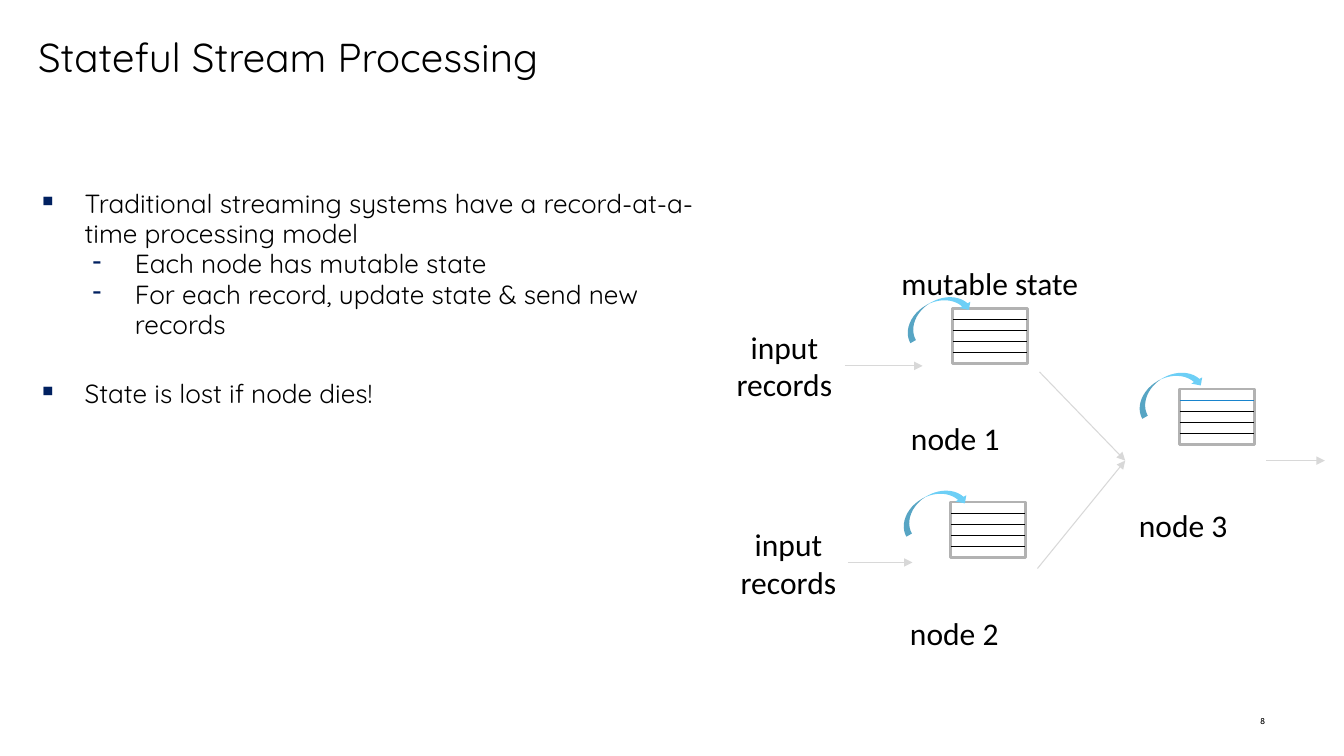
from pptx import Presentation
from pptx.dml.color import RGBColor
from pptx.enum.shapes import MSO_CONNECTOR, MSO_SHAPE
from pptx.enum.text import MSO_ANCHOR, PP_ALIGN
from pptx.oxml.ns import qn
from pptx.util import Pt
from lxml import etree

EMU_PER_PX = 9144  # 100 px to the inch

LINE = MSO_CONNECTOR.STRAIGHT
RECT = MSO_SHAPE.RECTANGLE
CURVED_ARROW = MSO_SHAPE.CURVED_DOWN_ARROW
TOP, MIDDLE, BOTTOM = MSO_ANCHOR.TOP, MSO_ANCHOR.MIDDLE, MSO_ANCHOR.BOTTOM
LEFT, CENTER, RIGHT = PP_ALIGN.LEFT, PP_ALIGN.CENTER, PP_ALIGN.RIGHT

BLACK = RGBColor(0x00, 0x00, 0x00)
WHITE = RGBColor(0xFF, 0xFF, 0xFF)
NAVY = RGBColor(0x00, 0x20, 0x60)
BLUE = RGBColor(0x18, 0x84, 0xCD)
SKY = RGBColor(0x6D, 0xCF, 0xF6)
GRAY = RGBColor(0xB2, 0xB2, 0xB2)
LIGHT_GRAY = RGBColor(0xD8, 0xD8, 0xD8)

TITLE_FONT = {"name": "Quicksand", "size": Pt(28.8)}
BODY_FONT = {"name": "Quicksand", "size": Pt(18.7)}
LABEL_FONT = {"name": "Calibri", "size": Pt(22.5)}
NUMBER_FONT = {"name": "Cabin", "size": Pt(6)}

# Margins: left, top, right, bottom
PAGE_MARGINS = (10, 10, 10, 10)
LABEL_MARGINS = (12, 6, 12, 6)
INPUT_MARGINS = (0, 6, 12, 6)
NODE_MARGINS = (0, 4, 0, 4)

# Bullet levels: character, left indent, hanging indent
POINT = ("▪", 50, 46)
SUBPOINT = ("-", 100, 42)
BODY = [
    (POINT, 0, "Traditional streaming systems have a record-at-a-time processing model"),
    (SUBPOINT, 0, "Each node has mutable state"),
    (SUBPOINT, 0, "For each record, update state & send new records"),
    (POINT, 28, "State is lost if node dies!"),
]

STATE_WIDTH, STATE_HEIGHT, ROW_HEIGHT, ROW_LINES = 74, 55, 11, 4

# State table corner, first row line colour, update arrow corner, label, label corner
NODES = [
    ((945, 306), BLACK, (892, 299), "node 1", (889, 412)),
    ((943, 498), BLACK, (888, 491), "node 2", (888, 605)),
    ((1170, 386), BLUE, (1122, 374), "node 3", (1115, 498)),
]
INPUTS = [(730, 319), (734, 515)]
FLOWS = [
    (838, 363, 915, 363),
    (841, 558, 905, 558),
    (1031, 369, 1116, 457),
    (1029, 564, 1116, 457),
    (1256, 457, 1314, 457),
]


def px(*lengths):
    return [length * EMU_PER_PX for length in lengths]


def apply_format(target, values):
    for attribute, value in values.items():
        setattr(target, attribute, value)


def add_text_box(slide, box, margins, anchor=TOP, wrap=True):
    frame = slide.shapes.add_textbox(*px(*box)).text_frame
    sides = ("margin_left", "margin_top", "margin_right", "margin_bottom")
    apply_format(frame, dict(zip(sides, px(*margins))))
    apply_format(frame, {"word_wrap": wrap, "vertical_anchor": anchor})
    return frame


def next_paragraph(frame, index):
    return frame.add_paragraph() if index else frame.paragraphs[0]


def add_label(slide, box, lines, font, margins, align=LEFT, **layout):
    frame = add_text_box(slide, box, margins, **layout)
    for index, line in enumerate(lines):
        paragraph = next_paragraph(frame, index)
        paragraph.text = line
        paragraph.alignment = align
        apply_format(paragraph.font, font)
        paragraph.font.color.rgb = BLACK


def set_bullet(paragraph, character, indent, hanging):
    properties = paragraph._p.get_or_add_pPr()
    properties.set("marL", str(indent * EMU_PER_PX))
    properties.set("indent", str(-hanging * EMU_PER_PX))
    color = etree.SubElement(properties, qn("a:buClr"))
    etree.SubElement(color, qn("a:srgbClr"), val=str(NAVY))
    etree.SubElement(properties, qn("a:buChar"), char=character)


def add_body(slide):
    frame = add_text_box(slide, (24, 178, 701, 370), PAGE_MARGINS)
    for index, (level, space, text) in enumerate(BODY):
        paragraph = next_paragraph(frame, index)
        paragraph.text = text
        set_bullet(paragraph, *level)
        apply_format(paragraph, {"line_spacing": 0.96, "space_before": Pt(space)})
        apply_format(paragraph.font, BODY_FONT)
        paragraph.font.color.rgb = BLACK


def add_line(slide, ends, color, arrow=False):
    line = slide.shapes.add_connector(LINE, *px(*ends))
    line.line.color.rgb = color
    line.line.width = Pt(0.75)
    if arrow:
        etree.SubElement(line.line._get_or_add_ln(), qn("a:tailEnd"), type="triangle")
    etree.SubElement(line._element.spPr, qn("a:effectLst"))


def add_filled_shape(slide, kind, box, fill):
    shape = slide.shapes.add_shape(kind, *px(*box))
    shape.shadow.inherit = False
    shape.fill.solid()
    shape.fill.fore_color.rgb = fill
    shape.line.fill.background()
    return shape


def add_state_table(slide, left, top, first_line_color):
    """Draw a node's mutable state as a frame ruled into rows."""
    frame = add_filled_shape(slide, RECT, (left, top, STATE_WIDTH, STATE_HEIGHT), WHITE)
    frame.line.color.rgb = GRAY
    frame.line.width = Pt(2)
    for row in range(1, ROW_LINES + 1):
        y = top + row * ROW_HEIGHT
        color = first_line_color if row == 1 else BLACK
        add_line(slide, (left, y, left + STATE_WIDTH, y), color)


def add_node(slide, state, first_line_color, update, name, name_corner):
    add_state_table(slide, *state, first_line_color)
    add_label(slide, (*name_corner, 117, 45), [name], LABEL_FONT, NODE_MARGINS, CENTER)
    update_arrow = add_filled_shape(slide, CURVED_ARROW, (*update, 73, 25), SKY)
    update_arrow.rotation = 330.3


def main():
    presentation = Presentation()
    presentation.slide_width, presentation.slide_height = px(1333, 750)
    slide = presentation.slides.add_slide(presentation.slide_layouts[6])

    add_label(slide, (28, 23, 1200, 67), ["Stateful Stream Processing"],
              TITLE_FONT, PAGE_MARGINS, anchor=BOTTOM)
    add_body(slide)
    add_label(slide, (882, 256, 201, 50), ["mutable state"],
              LABEL_FONT, LABEL_MARGINS, wrap=False)
    for corner in INPUTS:
        add_label(slide, (*corner, 108, 88), ["input", "records"],
                  LABEL_FONT, INPUT_MARGINS, CENTER, wrap=False)
    for node in NODES:
        add_node(slide, *node)
    for ends in FLOWS:
        add_line(slide, ends, LIGHT_GRAY, arrow=True)
    add_label(slide, (956, 695, 311, 40), ["8"],
              NUMBER_FONT, LABEL_MARGINS, RIGHT, anchor=MIDDLE)

    presentation.save("out.pptx")


if __name__ == "__main__":
    main()
